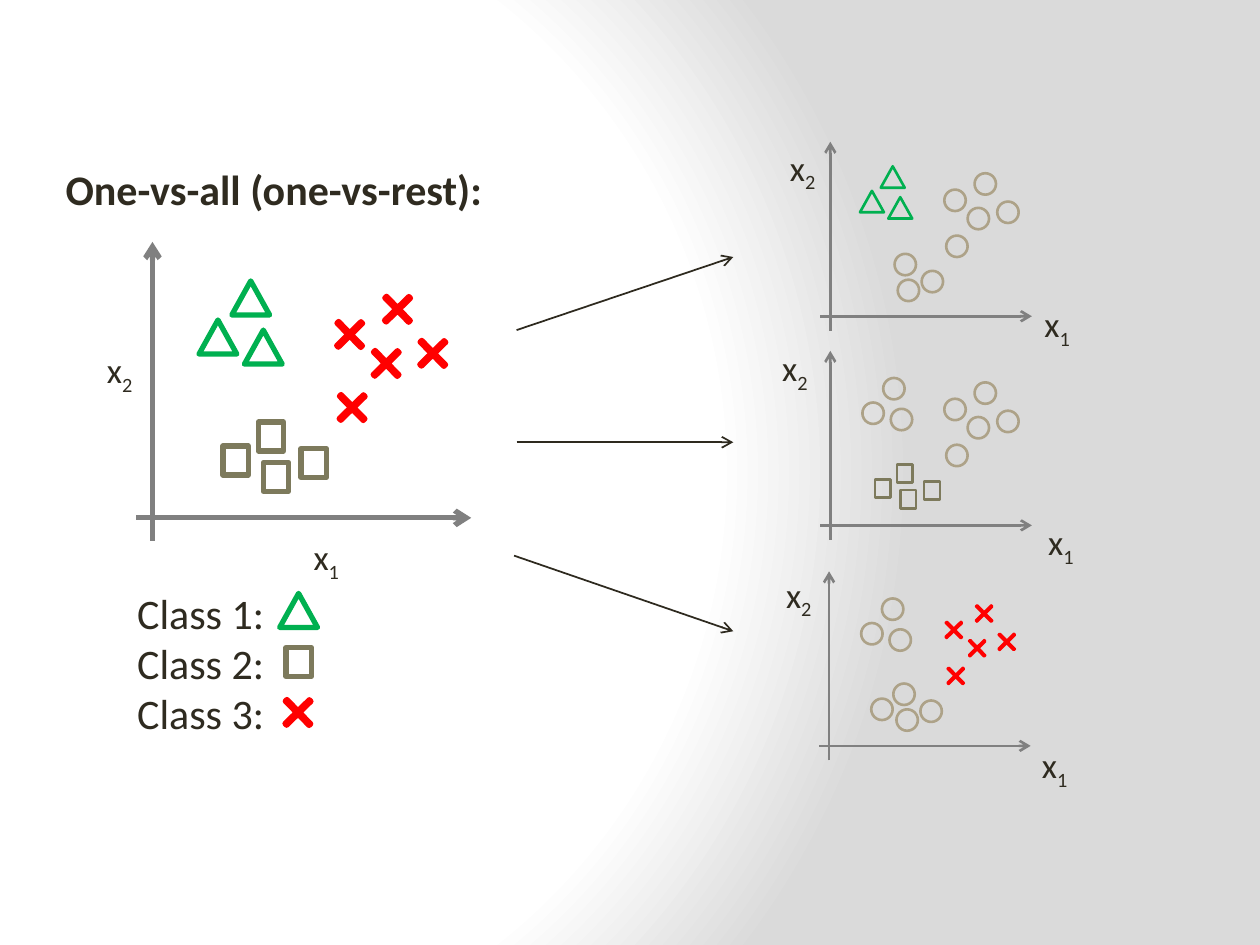
from dataclasses import dataclass
from typing import NamedTuple

from pptx import Presentation
from pptx import util as u
from pptx.dml.color import RGBColor
from pptx.enum import shapes, text
from pptx.oxml import ns, parse_xml

PX = 4572
SHRINK = 0.633


@dataclass(frozen=True)
class Theme:
    font: str = "Calibri"
    ink: str = "2F2B20"
    arrow: str = "2E2A1F"
    axis: str = "808080"
    green: str = "00B050"
    olive: str = "7D7A5C"
    red: str = "FF0000"
    tan: str = "ADA288"
    white: str = "FFFFFF"
    grey: str = "DADADA"
    heading: int = 24
    label: int = 20


T = Theme()


class Point(NamedTuple):
    x: int
    y: int


class Marker(NamedTuple):
    kind: shapes.MSO_SHAPE
    color: str
    w: int
    h: int


@dataclass(frozen=True)
class Panel:
    origin: Point
    x1: Point
    x2: Point
    scale: float
    weight: float
    markers: tuple
    skip: tuple = ()


TRIANGLE = Marker(shapes.MSO_SHAPE.ISOSCELES_TRIANGLE, T.green, 60, 54)
SQUARE = Marker(shapes.MSO_SHAPE.RECTANGLE, T.olive, 40, 46)
CROSS = Marker(shapes.MSO_SHAPE.CROSS, T.red, 54, 54)
RING = Marker(shapes.MSO_SHAPE.OVAL, T.tan, 54, 54)

CLUSTERS = (
    (Point(156, -349), Point(104, -287), Point(176, -271)),
    (Point(188, -129), Point(196, -65), Point(256, -87), Point(132, -91)),
    (Point(317, -175), Point(313, -291), Point(371, -245),
     Point(389, -331), Point(445, -261)),
)

PANELS = (
    Panel(Point(242, 822), Point(478, 840), Point(150, 544), 1, 3,
          (TRIANGLE, SQUARE, CROSS)),
    Panel(Point(1318, 502), Point(1638, 470), Point(1234, 222), SHRINK, 1.5,
          (TRIANGLE, RING, RING), skip=((1, 3),)),
    Panel(Point(1318, 834), Point(1644, 816), Point(1222, 540), SHRINK, 1.5,
          (RING, SQUARE, RING)),
    Panel(Point(1316, 1184), Point(1634, 1170), Point(1228, 900), SHRINK, 1.5,
          (RING, RING, CROSS)),
)

LEGEND = ((TRIANGLE, Point(474, 969)), (SQUARE, Point(474, 1051)),
          (CROSS, Point(473, 1131)))

ARROWS = (
    (Point(820, 524), Point(1164, 408)),
    (Point(820, 702), Point(1164, 702)),
    (Point(816, 882), Point(1164, 1002)),
)


def emu(px: float) -> u.Emu:
    return u.Emu(round(px) * PX)


def rgb(color: str) -> RGBColor:
    return RGBColor.from_string(color)


def paint_background(s) -> None:
    s.background.fill.gradient()
    old = s._element.find(".//" + ns.qn("a:gradFill"))
    stops = "".join(
        f'<a:gs pos="{pos * 1000}"><a:srgbClr val="{color}"/></a:gs>'
        for pos, color in ((0, T.white), (75, T.white), (100, T.grey)))
    old.getparent().replace(old, parse_xml(
        f'<a:gradFill {ns.nsdecls("a")} rotWithShape="1"><a:gsLst>{stops}</a:gsLst>'
        '<a:path path="circle"><a:fillToRect l="20000" t="50000" r="100000" b="50000"/>'
        '</a:path></a:gradFill>'))


def add_run(p, words: str, size: int, bold: bool = False, sub: bool = False) -> None:
    r = p.add_run()
    r.text = words
    r.font.name, r.font.size, r.font.bold = T.font, u.Pt(size), bold
    r.font.color.rgb = rgb(T.ink)
    if sub:
        r.font._element.set("baseline", "-25000")


def add_label(s, at: Point, index: str) -> None:
    tf = s.shapes.add_textbox(emu(at.x), emu(at.y), emu(84), emu(88)).text_frame
    tf.word_wrap = False
    tf.auto_size = text.MSO_AUTO_SIZE.SHAPE_TO_FIT_TEXT
    add_run(tf.paragraphs[0], "x", T.label)
    add_run(tf.paragraphs[0], index, T.label, sub=True)


def add_arrow(s, start: Point, end: Point, color: str, weight: float) -> None:
    c = s.shapes.add_connector(shapes.MSO_CONNECTOR.STRAIGHT, emu(start.x),
                               emu(start.y), emu(end.x), emu(end.y))
    c.line.color.rgb = rgb(color)
    c.line.width = u.Pt(weight)
    c.line._get_or_add_ln().append(
        parse_xml(f'<a:tailEnd {ns.nsdecls("a")} type="arrow"/>'))
    c._element.spPr.append(parse_xml(f'<a:effectLst {ns.nsdecls("a")}/>'))


def add_marker(s, m: Marker, center: Point, scale: float, weight: float) -> None:
    w, h = m.w * scale, m.h * scale
    sp = s.shapes.add_shape(m.kind, emu(center.x - w / 2), emu(center.y - h / 2),
                            emu(w), emu(h))
    sp.shadow.inherit = False
    sp.line.color.rgb = rgb(m.color)
    sp.line.width = u.Pt(weight)
    if m is CROSS:
        sp.adjustments[0] = 0.466
        sp.rotation = 45.6
        sp.fill.solid()
        sp.fill.fore_color.rgb = rgb(T.ink)
    else:
        sp.fill.background()


def add_panel(s, panel: Panel) -> None:
    def place(x: int, y: int) -> Point:
        return Point(round(panel.origin.x + x * panel.scale),
                     round(panel.origin.y + y * panel.scale))

    add_label(s, panel.x1, "1")
    add_label(s, panel.x2, "2")
    add_arrow(s, place(0, 36), place(0, -438), T.axis, panel.weight)
    add_arrow(s, place(-26, 0), place(506, 0), T.axis, panel.weight)
    for i, (m, cluster) in enumerate(zip(panel.markers, CLUSTERS)):
        dx, dy = (3, 6) if m is RING and i == 0 else (0, 0)
        for j, pt in enumerate(cluster):
            if (i, j) not in panel.skip:
                add_marker(s, m, place(pt.x + dx, pt.y + dy), panel.scale, panel.weight)


def add_title(s) -> None:
    sp = s.shapes.title
    sp.left, sp.top, sp.width, sp.height = map(emu, (84, 250, 712, 100))
    tf = sp.text_frame
    tf.word_wrap = True
    tf.auto_size = text.MSO_AUTO_SIZE.SHAPE_TO_FIT_TEXT
    tf.vertical_anchor = text.MSO_ANCHOR.TOP
    p = tf.paragraphs[0]
    p.alignment = text.PP_ALIGN.LEFT
    add_run(p, "One-vs-all (one-vs-rest):", T.heading, bold=True)


def add_legend(s) -> None:
    tf = s.shapes.add_textbox(*map(emu, (198, 922, 528, 262))).text_frame
    tf.word_wrap = True
    tf.auto_size = text.MSO_AUTO_SIZE.SHAPE_TO_FIT_TEXT
    for i, (m, center) in enumerate(LEGEND):
        p = tf.add_paragraph() if i else tf.paragraphs[0]
        add_run(p, f"Class {i + 1}:", T.heading)
        add_marker(s, m, center, 1, 3)


def main() -> None:
    prs = Presentation()
    prs.slide_width, prs.slide_height = emu(2000), emu(1500)
    s = prs.slides.add_slide(prs.slide_layouts[5])
    paint_background(s)
    add_title(s)
    for panel in PANELS:
        add_panel(s, panel)
    add_legend(s)
    for start, end in ARROWS:
        add_arrow(s, start, end, T.arrow, 1)
    prs.save("out.pptx")


if __name__ == "__main__":
    main()
